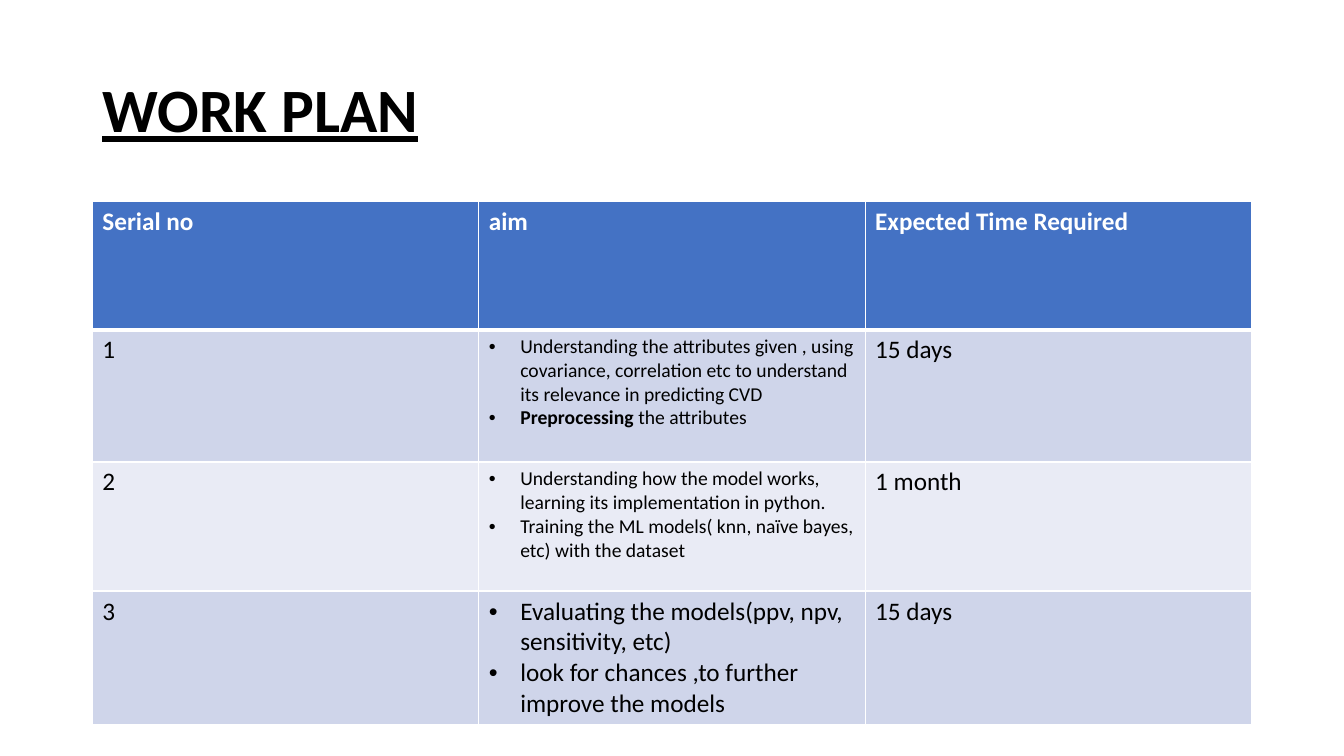
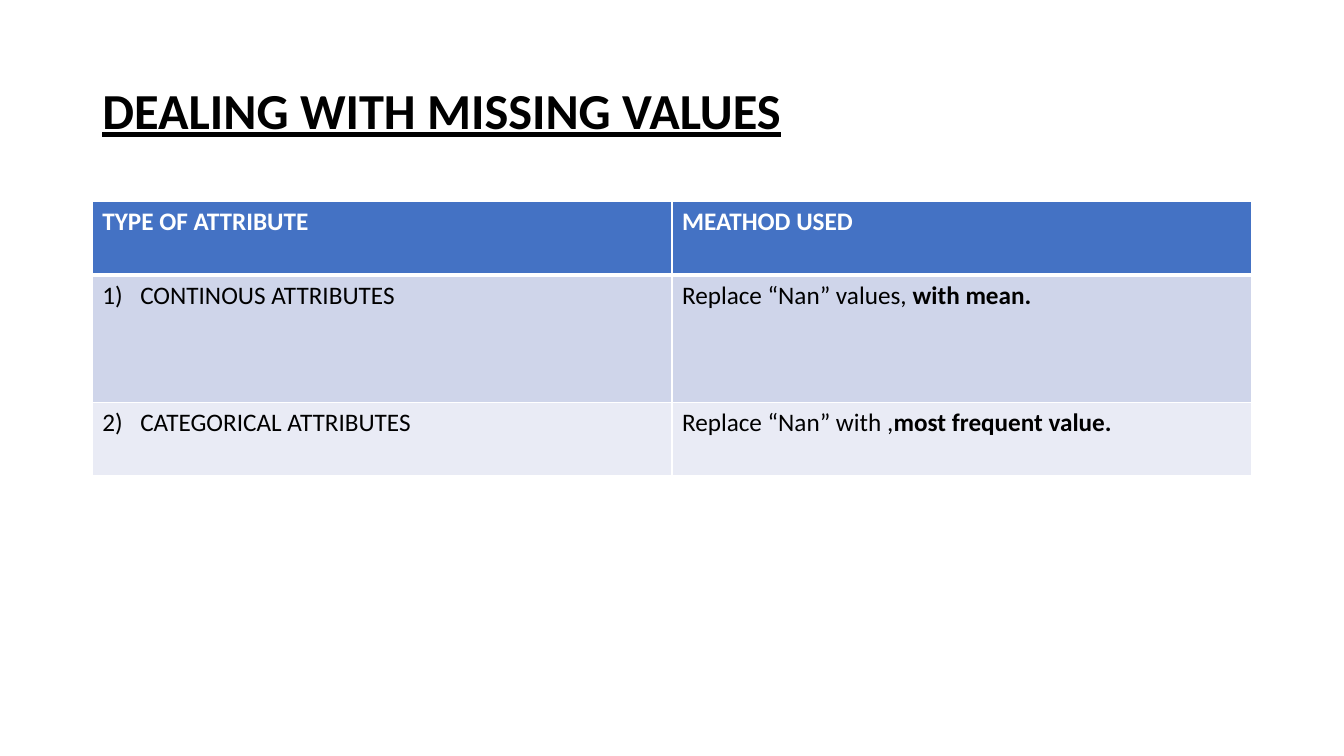
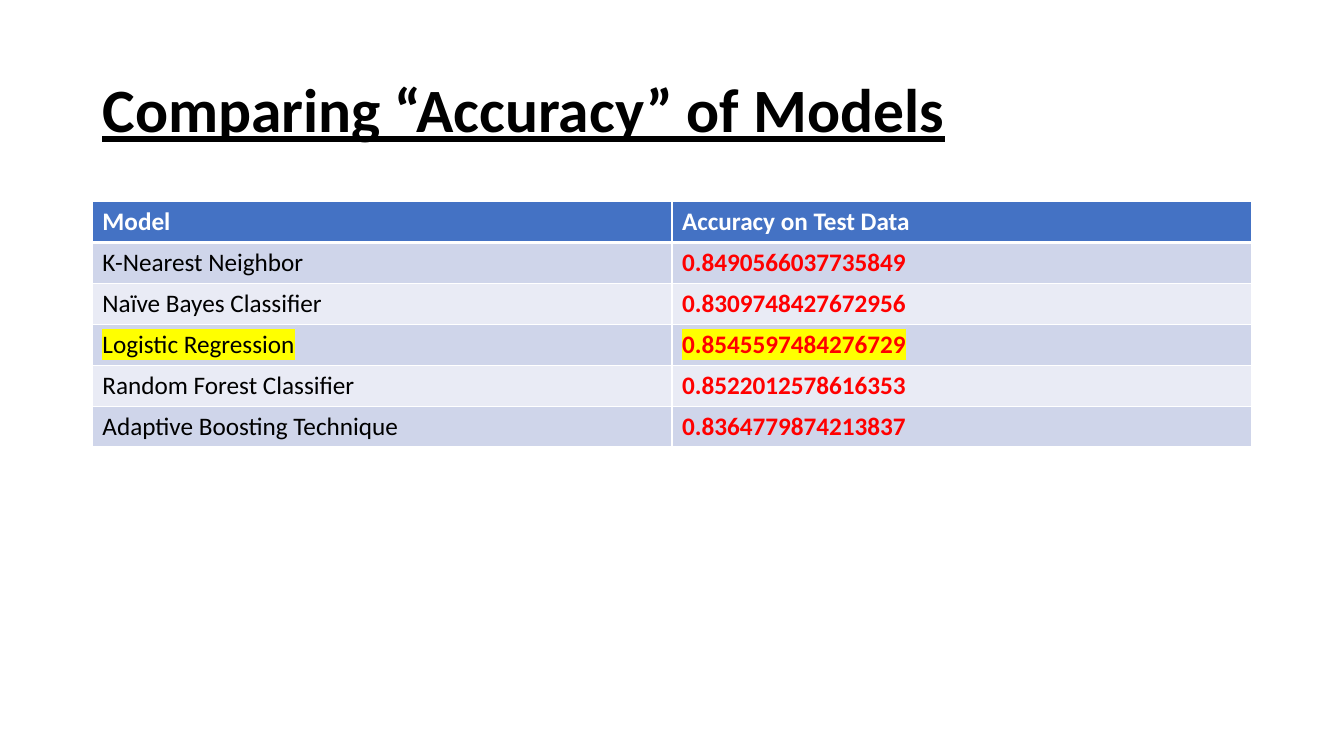
import dataclasses

import lxml.etree
import pptx
import pptx.dml.color
import pptx.enum.text
import pptx.oxml.ns
import pptx.util

PX = 9525
FONT = "Calibri"
COLORS = {
    "text": "000000",
    "header": "4472C4",
    "odd_row": "CFD5EA",
    "even_row": "E9EBF5",
    "white": "FFFFFF",
    "accuracy": "FF0000",
    "best": "FFFF00",
}
SLIDE_SIZE = (1280, 720)
MARGIN, CONTENT_WIDTH = 88, 1104
TITLE_TOP, TITLE_HEIGHT = 38, 139
TABLE_TOP = 192


@dataclasses.dataclass
class Entry:
    """One paragraph of a cell; ** encloses its bold words."""
    text: str
    size: int = 18
    color: str = "text"
    highlight: str = ""
    bullet: bool = False
    number: int = 0


def px(length):
    return pptx.util.Emu(length * PX)


def rgb(name):
    return pptx.dml.color.RGBColor.from_string(COLORS[name])


def add_xml(parent, tag, **attributes):
    return lxml.etree.SubElement(parent, pptx.oxml.ns.qn(tag), attributes)


def style_run(run, size, color, bold):
    run.font.size = pptx.util.Pt(size)
    run.font.bold = bold
    run.font.name = FONT
    run.font.color.rgb = rgb(color)


def highlight_run(run, color):
    properties = run.font._element
    highlight = add_xml(properties, "a:highlight")
    add_xml(highlight, "a:srgbClr", val=COLORS[color])
    properties.find(pptx.oxml.ns.qn("a:solidFill")).addnext(highlight)


def add_marker(paragraph, entry):
    """Give the paragraph a hanging bullet or number."""
    indent = px(30 if entry.bullet else 36)
    properties = paragraph._p.get_or_add_pPr()
    properties.set("marL", str(indent))
    properties.set("indent", str(-indent))
    if entry.bullet:
        add_xml(properties, "a:buFont", typeface="Arial")
        add_xml(properties, "a:buChar", char="•")
    else:
        add_xml(properties, "a:buAutoNum", type="arabicParenR",
                startAt=str(entry.number))


def write_entry(paragraph, entry):
    if entry.bullet or entry.number:
        add_marker(paragraph, entry)
    for position, words in enumerate(entry.text.split("**")):
        if words:
            run = paragraph.add_run()
            run.text = words
            style_run(run, entry.size, entry.color, position % 2 == 1)
            if entry.highlight:
                highlight_run(run, entry.highlight)


def add_borders(cell, row):
    """Draw white 1 pt borders, with 3 pt below the header row."""
    properties = cell._tc.get_or_add_tcPr()
    thick_side = {0: "a:lnB", 1: "a:lnT"}.get(row)
    for side in ("a:lnL", "a:lnR", "a:lnT", "a:lnB"):
        points = 3 if side == thick_side else 1
        line = add_xml(properties, side, w=str(pptx.util.Pt(points)))
        fill = add_xml(line, "a:solidFill")
        add_xml(fill, "a:srgbClr", val=COLORS["white"])


def fill_cell(cell, row, entries):
    add_borders(cell, row)
    band = "header" if row == 0 else ("even_row", "odd_row")[row % 2]
    cell.fill.solid()
    cell.fill.fore_color.rgb = rgb(band)
    frame = cell.text_frame
    for position, entry in enumerate(entries):
        paragraph = frame.add_paragraph() if position else frame.paragraphs[0]
        write_entry(paragraph, entry)


def add_titled_slide(deck, heading, size=44):
    slide = deck.slides.add_slide(deck.slide_layouts[5])
    title = slide.shapes.title
    title.left, title.top = px(MARGIN), px(TITLE_TOP)
    title.width, title.height = px(CONTENT_WIDTH), px(TITLE_HEIGHT)
    frame = title.text_frame
    frame.text = heading
    frame.auto_size = pptx.enum.text.MSO_AUTO_SIZE.NONE
    frame.vertical_anchor = pptx.enum.text.MSO_ANCHOR.MIDDLE
    paragraph = frame.paragraphs[0]
    paragraph.alignment = pptx.enum.text.PP_ALIGN.LEFT
    paragraph.line_spacing = 0.9
    style_run(paragraph.runs[0], size, "text", True)
    paragraph.runs[0].font.underline = True
    return slide


def add_banded_table(slide, headings, body, row_heights):
    header = [[Entry(f"**{heading}**", color="white")] for heading in headings]
    rows = [header] + body
    table = slide.shapes.add_table(
        len(rows), len(headings), px(MARGIN), px(TABLE_TOP),
        px(CONTENT_WIDTH), px(sum(row_heights))).table
    for column in table.columns:
        column.width = px(CONTENT_WIDTH // len(headings))
    for row, (cells, height) in enumerate(zip(rows, row_heights)):
        table.rows[row].height = px(height)
        for column, entries in enumerate(cells):
            fill_cell(table.cell(row, column), row, entries)


def add_work_plan(deck):
    steps = [
        (14, "15 days", [
            "Understanding the attributes given , using covariance, "
            "correlation etc to understand its relevance in predicting CVD",
            "**Preprocessing** the attributes"]),
        (14, "1 month", [
            "Understanding how the model works, learning its "
            "implementation in python.",
            "Training the ML models( knn, naïve bayes, etc) with the dataset"]),
        (18, "15 days", [
            "Evaluating the models(ppv, npv, sensitivity, etc)",
            "look for chances ,to further improve the models"]),
    ]
    body = [
        [[Entry(str(serial))],
         [Entry(aim, size=size, bullet=True) for aim in aims],
         [Entry(duration)]]
        for serial, (size, duration, aims) in enumerate(steps, 1)
    ]
    slide = add_titled_slide(deck, "WORK PLAN")
    add_banded_table(slide, ["Serial no", "aim", "Expected Time Required"],
                     body, [122, 126, 123, 126])


def add_missing_values(deck):
    methods = [
        ("CONTINOUS ATTRIBUTES", "Replace “Nan” values, **with mean.**"),
        ("CATEGORICAL ATTRIBUTES",
         "Replace “Nan” with ,**most frequent value.**"),
    ]
    body = [[[Entry(attribute, number=number)], [Entry(method)]]
            for number, (attribute, method) in enumerate(methods, 1)]
    slide = add_titled_slide(deck, "DEALING WITH MISSING VALUES", size=36)
    add_banded_table(slide, ["TYPE OF ATTRIBUTE", "MEATHOD USED"],
                     body, [70, 121, 70])


def add_accuracy(deck):
    accuracies = {
        "K-Nearest Neighbor": "0.8490566037735849",
        "Naïve Bayes Classifier": "0.8309748427672956",
        "Logistic Regression": "0.8545597484276729",
        "Random Forest Classifier": "0.8522012578616353",
        "Adaptive Boosting Technique": "0.8364779874213837",
    }
    best = max(accuracies.values())
    body = []
    for model, accuracy in accuracies.items():
        highlight = "best" if accuracy == best else ""
        body.append([
            [Entry(model, highlight=highlight)],
            [Entry(f"**{accuracy}**", color="accuracy", highlight=highlight)],
        ])
    slide = add_titled_slide(deck, "Comparing “Accuracy” of Models")
    add_banded_table(slide, ["Model", "Accuracy on Test Data"],
                     body, [39] * (len(body) + 1))


def main():
    deck = pptx.Presentation()
    deck.slide_width, deck.slide_height = map(px, SLIDE_SIZE)
    add_work_plan(deck)
    add_missing_values(deck)
    add_accuracy(deck)
    deck.save("out.pptx")


if __name__ == "__main__":
    main()
